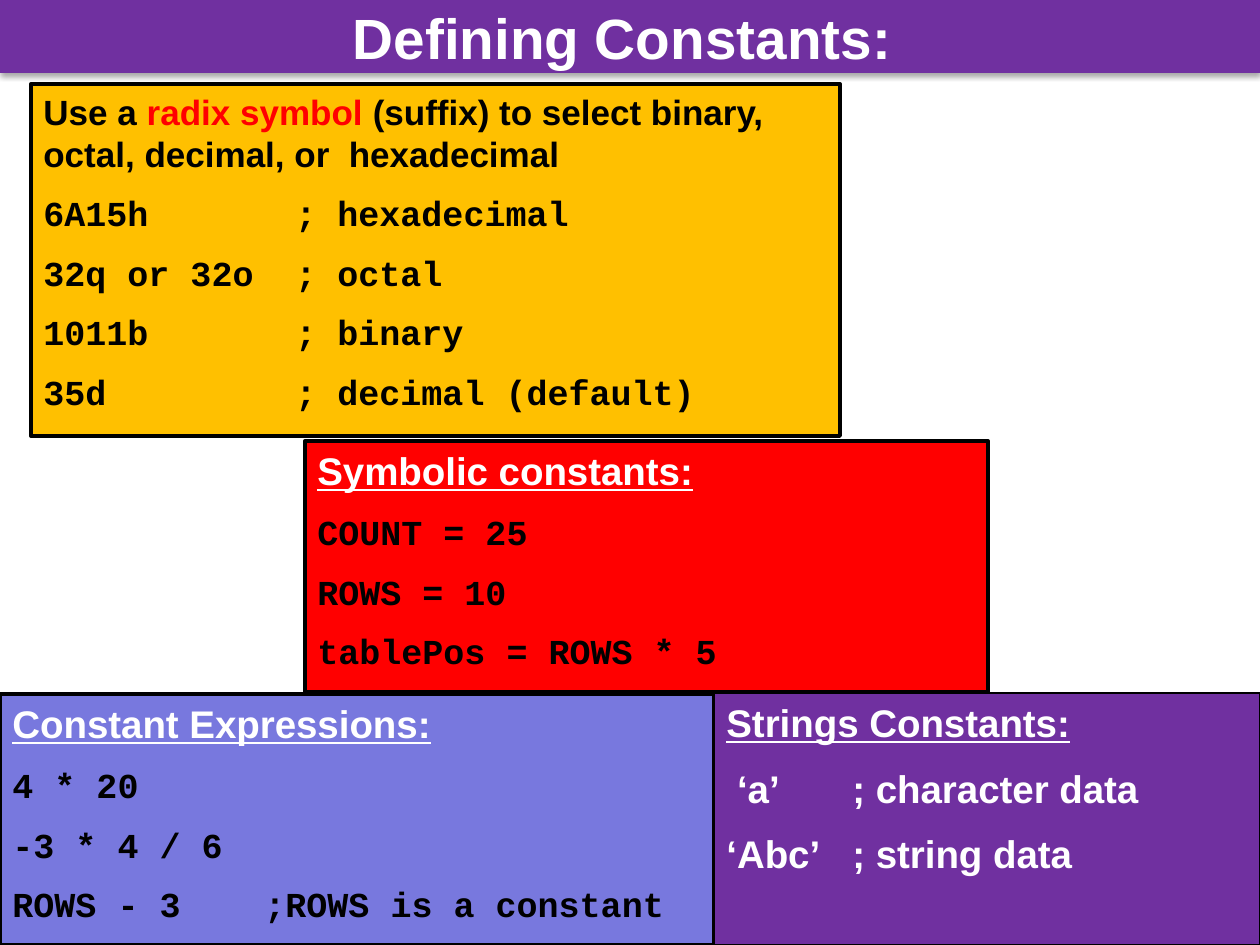
from lxml.etree import SubElement
from pptx import Presentation
from pptx.dml.color import RGBColor
from pptx.enum.text import MSO_ANCHOR, MSO_AUTO_SIZE, PP_ALIGN
from pptx.oxml import parse_xml
from pptx.oxml.ns import nsdecls, qn
from pptx.util import Emu, Pt


def px(n):
    return Emu(round(n * 914400 / 126))


def rgb(value):
    return RGBColor.from_string(value)


prs = Presentation()
prs.slide_width, prs.slide_height = px(1260), px(945)
slide = prs.slides.add_slide(prs.slide_layouts[5])

# Title band with a soft shadow below it
title = slide.shapes.title
title.left, title.top, title.width, title.height = px(0), px(0), px(1260), px(73)
title.fill.solid()
title.fill.fore_color.rgb = rgb("7030A0")
title.text_frame.text = "Defining Constants: "
title.text_frame.auto_size = MSO_AUTO_SIZE.NONE
title.text_frame.vertical_anchor = MSO_ANCHOR.MIDDLE
title_line = title.text_frame.paragraphs[0]
title_line.alignment = PP_ALIGN.CENTER
title_font = title_line.runs[0].font
title_font.name, title_font.size, title_font.bold = "Arial", Pt(32.4), True
title_font.color.rgb = rgb("FFFFFF")
title.fill._xPr.append(parse_xml(
    f'<a:effectLst {nsdecls("a")}><a:outerShdw blurRad="40000" dist="23000" '
    'dir="5400000" rotWithShape="0"><a:srgbClr val="000000">'
    '<a:alpha val="35000"/></a:srgbClr></a:outerShdw></a:effectLst>'))

# Text styles: font, size, colour, underline
BODY = ("Arial", 20, "000000", False)
ACCENT = ("Arial", 20, "FF0000", False)
HEADING = ("Arial", 22, "FFFFFF", True)
CODE = ("Courier New", 20, "000000", False)
STRING = ("Arial", 22, "FFFFFF", False)

# Panels: position, fill, border width, tab stop, paragraphs of (text, style) runs
panels = [
    ((31, 84, 809, 352), "FFC000", 2.25, 252, [
        [("Use a ", BODY), ("radix symbol ", ACCENT),
         ("(suffix) to select binary, octal, decimal, or  hexadecimal", BODY)],
        [("6A15h\t; hexadecimal", CODE)],
        [("32q or 32o\t; octal", CODE)],
        [("1011b\t; binary", CODE)],
        [("35d\t; decimal (default)", CODE)]]),
    ((0, 694, 714, 251), "7878DE", 2.25, 252, [
        [("Constant Expressions:", HEADING)],
        [("4 * 20", CODE)],
        [("-3 * 4 / 6", CODE)],
        [("ROWS - 3\t;ROWS is a constant", CODE)]]),
    ((305, 441, 683, 251), "FF0000", 2.25, 252, [
        [("Symbolic constants:", HEADING)],
        [("COUNT = 25", CODE)],
        [("ROWS = 10", CODE)],
        [("tablePos = ROWS * 5", CODE)]]),
    ((714, 693, 546, 252), "7030A0", 0.75, 126, [
        [("Strings Constants:", HEADING)],
        [(" ‘a’\t; character data", STRING)],
        [("‘Abc’\t; string data", STRING)]]),
]

for position, fill, border, tab_stop, paragraphs in panels:
    panel = slide.shapes.add_textbox(*[px(n) for n in position])
    panel.fill.solid()
    panel.fill.fore_color.rgb = rgb(fill)
    panel.line.color.rgb = rgb("000000")
    panel.line.width = Pt(border)
    frame = panel.text_frame
    frame.word_wrap = True
    for index, runs in enumerate(paragraphs):
        paragraph = frame.add_paragraph() if index else frame.paragraphs[0]
        # Half a line of space before, and a stop for the comment column
        properties = paragraph._p.get_or_add_pPr()
        before = SubElement(properties, qn("a:spcBef"))
        SubElement(before, qn("a:spcPct"), val="50000")
        if any("\t" in text for text, style in runs):
            stops = SubElement(properties, qn("a:tabLst"))
            SubElement(stops, qn("a:tab"), pos=str(px(tab_stop)), algn="l")
        for text, (name, size, color, underline) in runs:
            run = paragraph.add_run()
            run.text = text
            run.font.name, run.font.size, run.font.bold = name, Pt(size), True
            run.font.underline = underline
            run.font.color.rgb = rgb(color)

prs.save("out.pptx")
